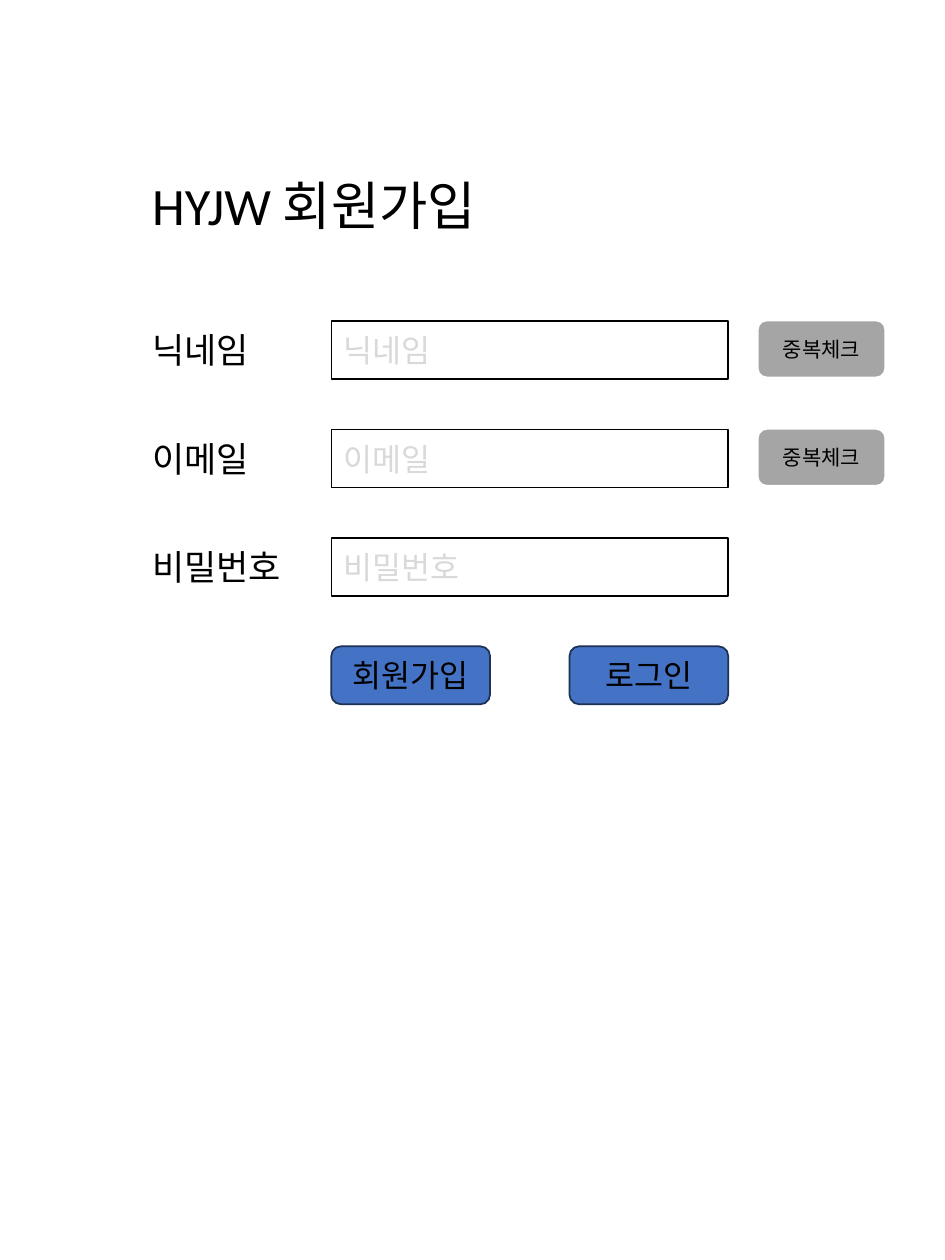
from dataclasses import dataclass

from pptx import Presentation
from pptx import util as u
from pptx.dml.color import RGBColor
from pptx.enum import shapes, text

TITLE = "HYJW 회원가입"
CHECK = "중복체크"
FIELDS = [("닉네임", True), ("이메일", True), ("비밀번호", False)]  # label, has check button
ACTIONS = ["회원가입", "로그인"]


@dataclass(frozen=True)
class Theme:
    font: str = "Calibri"
    ink: str = "000000"
    hint: str = "D9D9D9"
    paper: str = "FFFFFF"
    grey: str = "A5A5A5"
    blue: str = "4472C4"
    navy: str = "1E3256"
    title_size: int = 30
    label_size: int = 20
    input_size: int = 18
    check_size: int = 12


T = Theme()

# Form grid, in inches
WIDTH, HEIGHT = 7.5, 10
LABEL_X, INPUT_X, CHECK_X = 1.11, 2.63, 6.01
INPUT_W, CHECK_W, ACTION_W = 3.15, 1.02, 1.26
TITLE_Y, FIRST_ROW, ROW_STEP, ROW_H = 1.32, 2.55, 0.86, 0.46


def style_text(sp, content, size, color, align):
    tf = sp.text_frame
    tf.text = content
    tf.word_wrap = True
    p = tf.paragraphs[0]
    p.alignment = align
    f = p.runs[0].font
    f.name, f.size = T.font, u.Pt(size)
    f.color.rgb = RGBColor.from_string(color)
    return tf


def add_label(s, content, x, y, w, h, size):
    sp = s.shapes.add_textbox(*map(u.Inches, (x, y, w, h)))
    tf = style_text(sp, content, size, T.ink, text.PP_ALIGN.LEFT)
    tf.auto_size = text.MSO_AUTO_SIZE.SHAPE_TO_FIT_TEXT


def add_box(s, kind, content, x, y, w, fill, line, weight, size, color, align):
    sp = s.shapes.add_shape(kind, *map(u.Inches, (x, y, w, ROW_H)))
    sp.shadow.inherit = False
    sp.fill.solid()
    sp.fill.fore_color.rgb = RGBColor.from_string(fill)
    sp.line.color.rgb = RGBColor.from_string(line)
    sp.line.width = u.Pt(weight)
    tf = style_text(sp, content, size, color, align)
    tf.vertical_anchor = text.MSO_ANCHOR.MIDDLE


def add_input(s, content, y):
    add_box(s, shapes.MSO_SHAPE.RECTANGLE, content, INPUT_X, y, INPUT_W,
            T.paper, T.ink, 1, T.input_size, T.hint, text.PP_ALIGN.LEFT)


def add_button(s, content, x, y, w, fill, line, weight, size):
    add_box(s, shapes.MSO_SHAPE.ROUNDED_RECTANGLE, content, x, y, w,
            fill, line, weight, size, T.ink, text.PP_ALIGN.CENTER)


def main():
    prs = Presentation()
    prs.slide_width, prs.slide_height = u.Inches(WIDTH), u.Inches(HEIGHT)
    s = prs.slides.add_slide(prs.slide_layouts[6])

    add_label(s, TITLE, LABEL_X, TITLE_Y, 4.33, 0.61, T.title_size)

    for row, (name, has_check) in enumerate(FIELDS):
        y = FIRST_ROW + row * ROW_STEP
        add_label(s, name, LABEL_X, y + 0.01, 1.41, 0.44, T.label_size)
        add_input(s, name, y)
        if has_check:
            add_button(s, CHECK, CHECK_X, y - 0.01, CHECK_W,
                       T.grey, T.paper, 1.5, T.check_size)

    # Action buttons spread across the input column
    y = FIRST_ROW + len(FIELDS) * ROW_STEP
    step = (INPUT_W - ACTION_W) / (len(ACTIONS) - 1)
    for col, name in enumerate(ACTIONS):
        add_button(s, name, INPUT_X + col * step, y, ACTION_W,
                   T.blue, T.navy, 1, T.input_size)

    prs.save("out.pptx")


if __name__ == "__main__":
    main()
